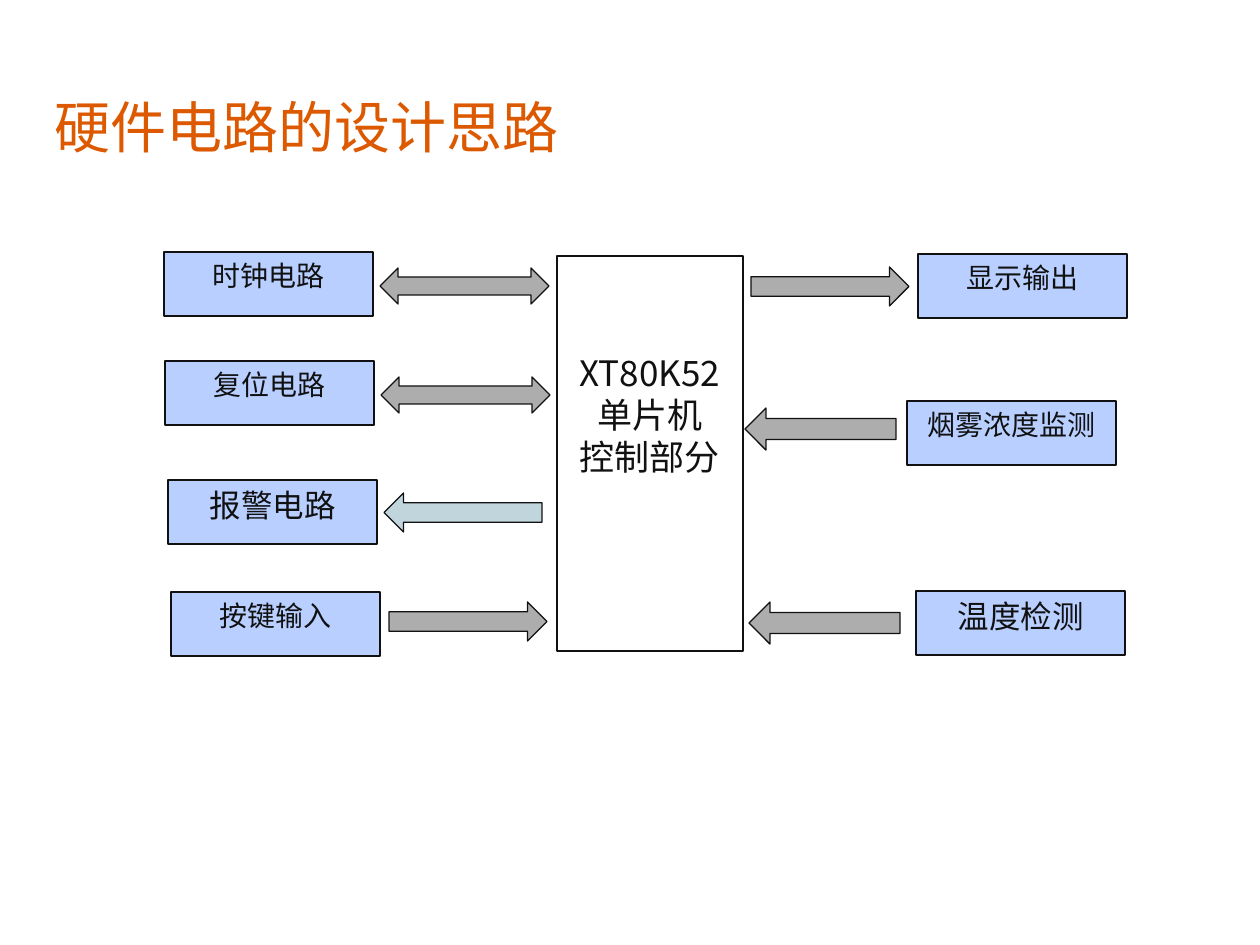
from lxml import etree
from pptx import Presentation
from pptx import util as u
from pptx.dml.color import RGBColor
from pptx.enum import shapes, text
from pptx.oxml.ns import qn

PX = u.Inches(1) / 126
COLORS = {
    "title": "DC5900", "ink": "111111", "white": "FFFFFF",
    "block": "B8CFFF", "arrow": "ADADAD", "alarm": "C0D6DC",
}
CJK = "Noto Sans CJK SC"
SHAPE = shapes.MSO_SHAPE
BLOCK_SIZE = (209, 64)


def px(*lengths):
    return [round(length * PX) for length in lengths]


def color(name):
    return RGBColor.from_string(COLORS[name])


def write(frame, words, size, ink, align, font=CJK):
    frame.word_wrap = True
    frame.vertical_anchor = text.MSO_ANCHOR.TOP
    frame.text = words
    for para in frame.paragraphs:
        para.alignment = align
        for span in para.runs:
            span.font.size = u.Pt(size)
            span.font.name = font
            span.font.color.rgb = color(ink)
            # East Asian typeface follows the Latin one
            latin = span.font._element.find(qn("a:latin"))
            east = etree.Element(qn("a:ea"), typeface=font)
            latin.addnext(east)


def add_outlined(page, kind, box, fill):
    shape = page.shapes.add_shape(kind, *px(*box))
    shape.shadow.inherit = False
    shape.fill.solid()
    shape.fill.fore_color.rgb = color(fill)
    shape.line.color.rgb = color("ink")
    shape.line.width = u.Pt(0.75)
    return shape


def add_title(page, box, words):
    title = page.shapes.add_textbox(*px(*box))
    write(title.text_frame, words, 32, "title", text.PP_ALIGN.LEFT)


def add_controller(page, box, words):
    controller = add_outlined(page, SHAPE.RECTANGLE, box, "white")
    controller.text_frame.margin_top = px(95)[0]
    write(controller.text_frame, words, 20, "ink", text.PP_ALIGN.CENTER)


def add_module(page, left, top, label, size, font, arrow):
    """Place a module block and its arrow, offset from the block's corner."""
    kind, dx, dy, width, height, fill, turn = arrow
    pointer = add_outlined(page, kind, (left + dx, top + dy, width, height), fill)
    pointer.rotation = turn
    block = add_outlined(page, SHAPE.RECTANGLE, (left, top, *BLOCK_SIZE), "block")
    write(block.text_frame, label, size, "ink", text.PP_ALIGN.CENTER, font)


def main():
    deck = Presentation()
    deck.slide_width, deck.slide_height = px(1260, 945)
    page = deck.slides.add_slide(deck.slide_layouts[6])

    add_title(page, (42, 86, 1177, 755), "硬件电路的设计思路")
    add_controller(page, (557, 256, 186, 395), "XT80K52\n单片机\n控制部分")

    # Arrows: kind, offset from block, size, fill, rotation
    both = (SHAPE.LEFT_RIGHT_ARROW, 216, 16, 169, 36, "arrow", 0)
    alarm = (SHAPE.RIGHT_ARROW, 216, 13, 158, 39, "alarm", 180)
    keys = (SHAPE.RIGHT_ARROW, 218, 10, 158, 39, "arrow", 0)
    display = (SHAPE.RIGHT_ARROW, -167, 13, 158, 39, "arrow", 0)
    smoke = (SHAPE.LEFT_ARROW, -162, 7, 151, 42, "arrow", 0)
    heat = (SHAPE.LEFT_ARROW, -167, 11, 151, 42, "arrow", 0)

    modules = [
        # Left side
        (164, 252, "时钟电路", 16, CJK, both),
        (165, 361, "复位电路", 16, CJK, both),
        (168, 480, "报警电路", 18, "Arial", alarm),
        (171, 592, "按键输入", 16, CJK, keys),
        # Right side
        (918, 254, "显示输出", 16, CJK, display),
        (907, 401, "烟雾浓度监测", 16, CJK, smoke),
        (916, 591, "温度检测", 18, "Arial", heat),
    ]
    for module in modules:
        add_module(page, *module)

    deck.save("out.pptx")


if __name__ == "__main__":
    main()
